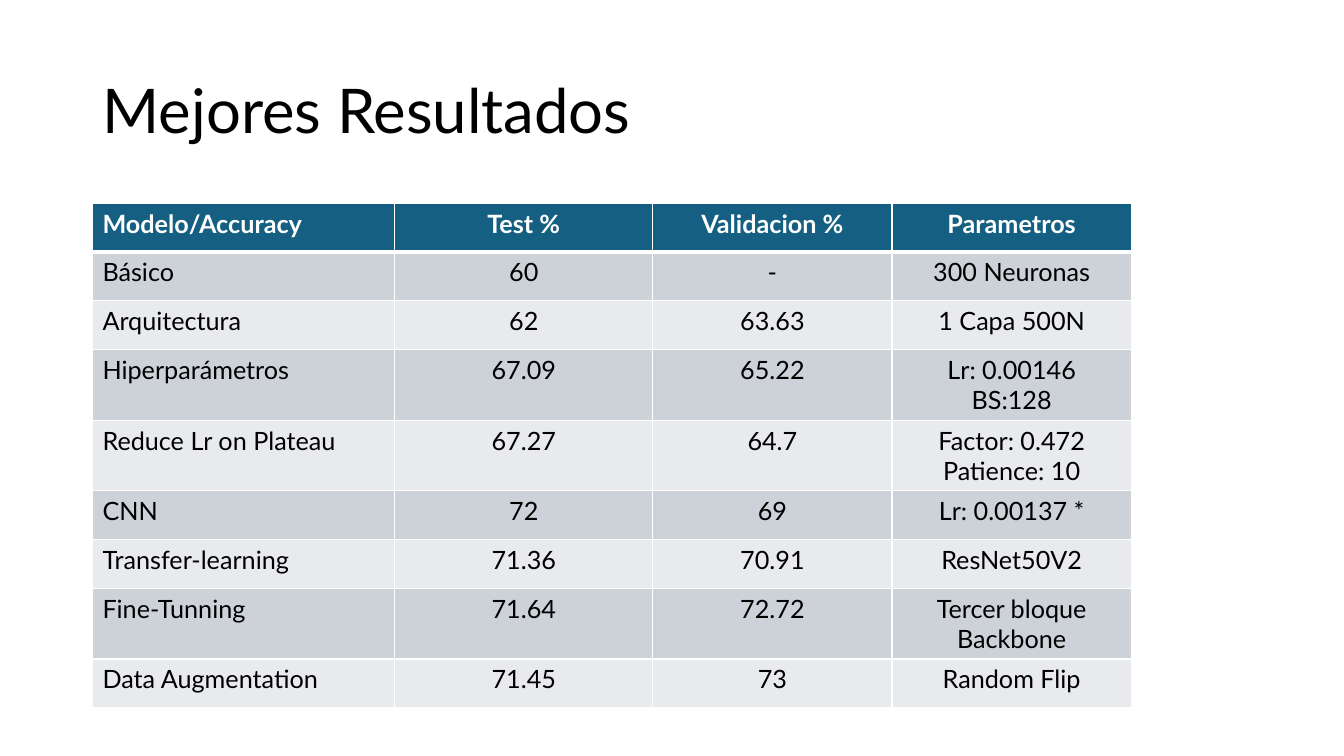
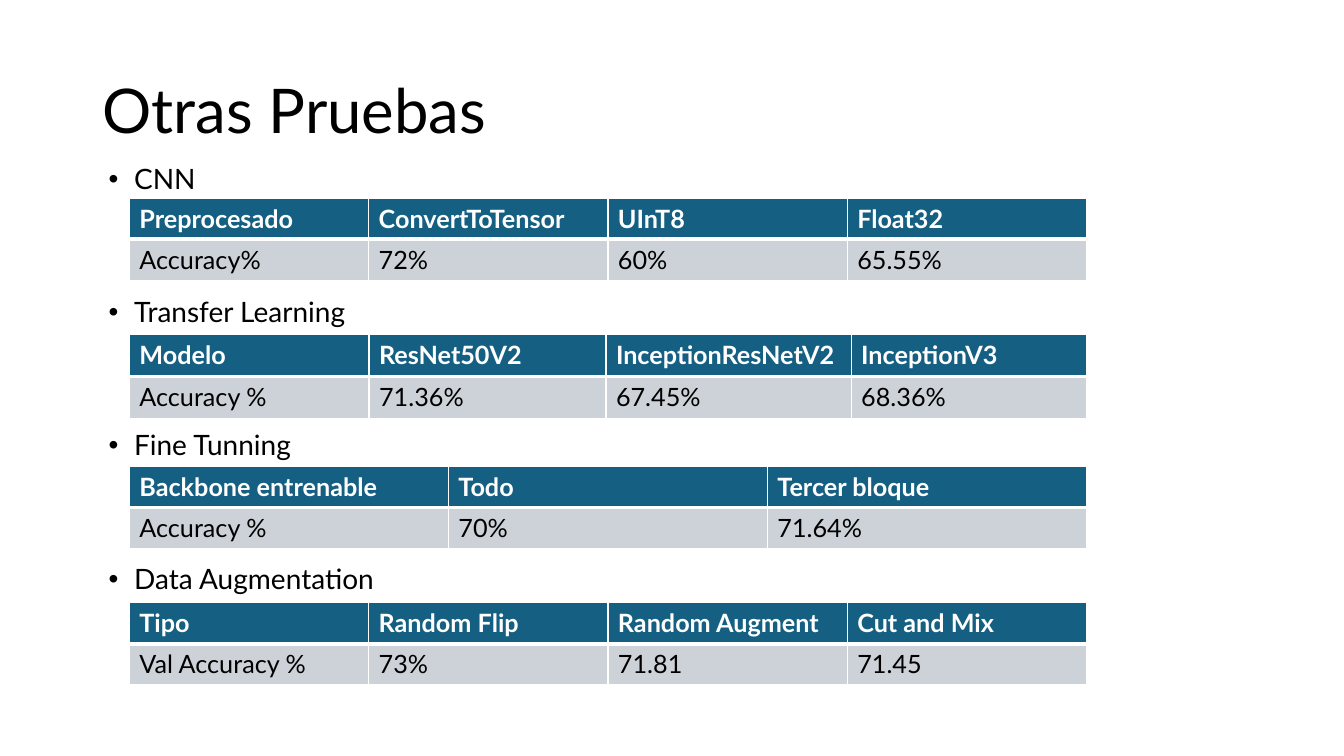
import pptx
import pptx.util
import pptx.dml.color
import pptx.enum.text
import pptx.oxml

Cm, Pt = pptx.util.Cm, pptx.util.Pt
align = pptx.enum.text.PP_ALIGN
anchor = pptx.enum.text.MSO_ANCHOR
size = pptx.enum.text.MSO_AUTO_SIZE
space = 'xmlns:a="http://schemas.openxmlformats.org/drawingml/2006/main"'


def hue(code):
    return pptx.dml.color.RGBColor.from_string(code)


def style(item, form):
    for key, val in form.items():
        setattr(item, key, val)


black, white, teal = "000000", "FFFFFF", "156082"
bands = ["CCD2D8", "E8EAED"]
face = {"name": "Lato", "bold": False}
box = {"left": Cm(2.33), "top": Cm(1.02), "width": Cm(29.21), "height": Cm(3.68)}

best = [
    ["Modelo/Accuracy", "Test %", "Validacion %", "Parametros"],
    ["Básico", "60", "-", "300 Neuronas"],
    ["Arquitectura", "62", "63.63", "1 Capa 500N"],
    ["Hiperparámetros", "67.09", "65.22", "Lr: 0.00146\nBS:128"],
    ["Reduce Lr on Plateau", "67.27", "64.7", "Factor: 0.472 Patience: 10"],
    ["CNN", "72", "69", "Lr: 0.00137 *"],
    ["Transfer-learning", "71.36", "70.91", "ResNet50V2"],
    ["Fine-Tunning", "71.64", "72.72", "Tercer bloque Backbone"],
    ["Data Augmentation", "71.45", "73", "Random Flip"],
]
prep = [
    ["Preprocesado", "ConvertToTensor", "UInT8", "Float32"],
    ["Accuracy%", "72%", "60%", "65.55%"],
]
model = [
    ["Modelo", "ResNet50V2", "InceptionResNetV2", "InceptionV3"],
    ["Accuracy %", "71.36%", "67.45%", "68.36%"],
]
tune = [
    ["Backbone entrenable", "Todo", "Tercer bloque"],
    ["Accuracy %", "70%", "71.64%"],
]
kind = [
    ["Tipo", "Random Flip", "Random Augment", "Cut and Mix"],
    ["Val Accuracy %", "73%", "71.81", "71.45"],
]

deck = pptx.Presentation()
style(deck, {"slide_width": Cm(33.87), "slide_height": Cm(19.05)})

slides = []
for name in ["Mejores Resultados", "Otras Pruebas"]:
    slide = deck.slides.add_slide(deck.slide_layouts[5])
    title = slide.shapes.title
    style(title, box)
    title.text = name
    style(title.text_frame, {"vertical_anchor": anchor.MIDDLE, "auto_size": size.NONE})
    par = title.text_frame.paragraphs[0]
    style(par, {"alignment": align.LEFT, "line_spacing": 0.9})
    style(par.font, {**face, "size": Pt(44)})
    par.font.color.rgb = hue(black)
    slides.append(slide)

first, other = slides

topics = other.shapes.add_textbox(Cm(2.49), Cm(4.04), Cm(29.21), Cm(13.44)).text_frame
topics.word_wrap = True
topics.text = "CNN\nTransfer Learning\nFine Tunning\nData Augmentation"
for num, par in enumerate(topics.paragraphs):
    style(par, {"line_spacing": 0.9, "space_before": Pt(73.6 if num else 0)})
    style(par.font, {**face, "size": Pt(20)})
    par.font.color.rgb = hue(black)
    prop = par._p.get_or_add_pPr()
    prop.set("marL", str(Cm(0.64)))
    prop.set("indent", str(-Cm(0.64)))
    for mark in ['buFont %s typeface="Arial"', 'buChar %s char="•"']:
        prop.append(pptx.oxml.parse_xml(f"<a:{mark % space}/>"))

even = [6.03] * 4
tables = [
    (first, best, 2.33, 5.12, [7.62, 6.5, 6.03, 6.03], 1.23, align.CENTER),
    (other, prep, 3.26, 5, even, 1.03, align.LEFT),
    (other, model, 3.26, 8.43, [6.04, 5.97, 6.18, 5.94], 1.06, align.LEFT),
    (other, tune, 3.26, 11.76, [8.04] * 3, 1.03, align.LEFT),
    (other, kind, 3.26, 15.19, even, 1.03, align.LEFT),
]
for slide, data, left, top, wide, high, side in tables:
    frame = slide.shapes.add_table(
        len(data), len(wide), Cm(left), Cm(top), Cm(sum(wide)), Cm(high * len(data))
    )
    grid = frame.table
    grid.horz_banding = False
    for col, width in zip(grid.columns, wide):
        col.width = Cm(width)
    for r, line in enumerate(data):
        grid.rows[r].height = Cm(high)
        for c, text in enumerate(line):
            cell = grid.cell(r, c)
            cell.text = text
            thick = {"L": 1, "R": 1, "T": 3 if r == 1 else 1, "B": 1 if r else 3}
            for edge, width in thick.items():
                cell._tc.get_or_add_tcPr().append(pptx.oxml.parse_xml(
                    f'<a:ln{edge} {space} w="{Pt(width)}"><a:solidFill>'
                    f'<a:srgbClr val="{white}"/></a:solidFill></a:ln{edge}>'
                ))
            cell.fill.solid()
            cell.fill.fore_color.rgb = hue(bands[(r - 1) % 2] if r else teal)
            for par in cell.text_frame.paragraphs:
                par.alignment = side if c else align.LEFT
                style(par.font, {**face, "size": Pt(18), "bold": r == 0})
                par.font.color.rgb = hue(black if r else white)

deck.save("out.pptx")
